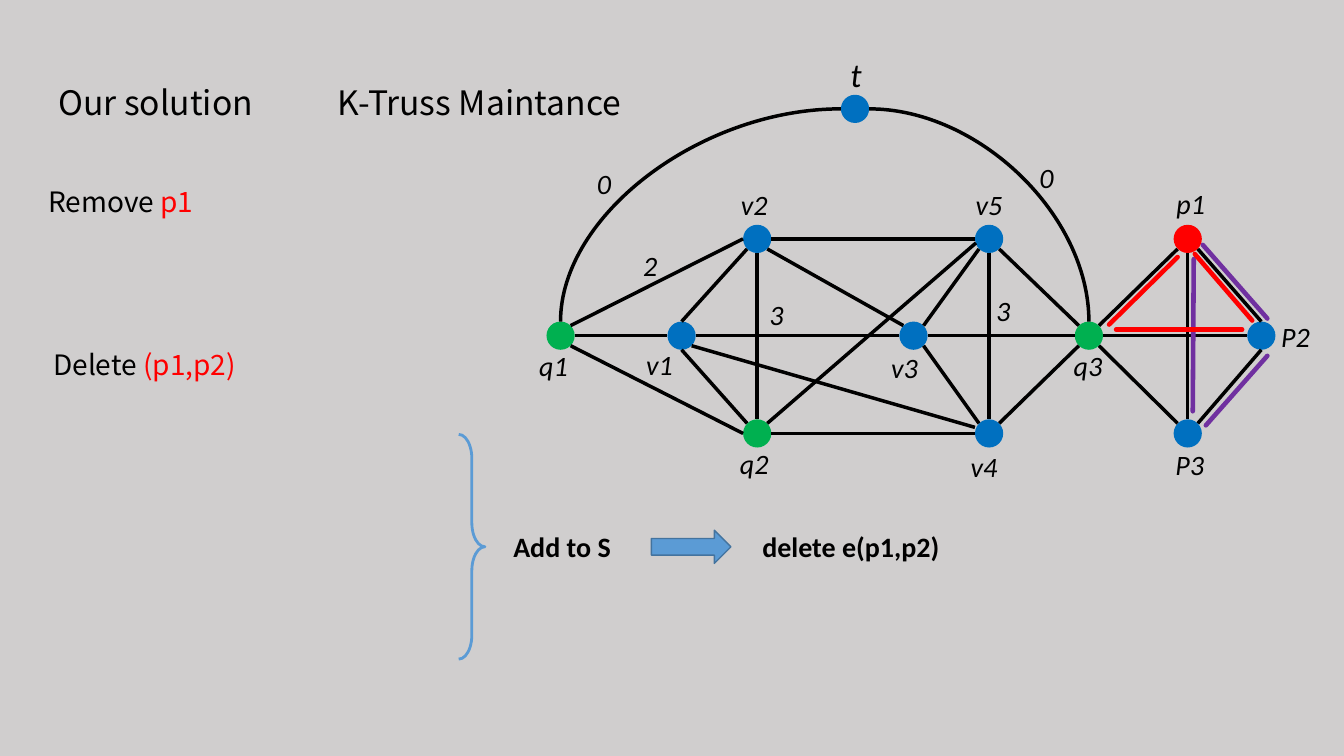
from pptx import Presentation
from pptx.dml.color import RGBColor
from pptx.enum import shapes, text
from pptx.oxml import ns
from pptx.util import Inches, Pt
from lxml import etree

SANS, ITALIC_FACE = "Noto Sans CJK SC", "Calibri"
BLACK, RED, GREEN, BLUE, PURPLE = "000000", "FF0000", "00B050", "0070C0", "7030A0"

# name: (centre x, centre y, colour, label left, label top)
NODES = {
    "q1": (5.56, 3.33, GREEN, 5.2, 3.41),
    "q2": (7.51, 4.3, GREEN, 7.19, 4.38),
    "q3": (10.8, 3.33, GREEN, 10.5, 3.41),
    "v1": (6.76, 3.33, BLUE, 6.25, 3.4),
    "v2": (7.51, 2.37, BLUE, 7.19, 1.81),
    "v3": (9.06, 3.33, BLUE, 8.68, 3.43),
    "v4": (9.81, 4.3, BLUE, 9.47, 4.41),
    "v5": (9.81, 2.37, BLUE, 9.52, 1.81),
    "t": (8.48, 1.08, BLUE, 8.2, 0.49),
    "p1": (11.78, 2.37, RED, 11.52, 1.8),
    "P2": (12.51, 3.33, BLUE, 12.56, 3.12),
    "P3": (11.78, 4.3, BLUE, 11.51, 4.39),
}
RADIUS = 0.14
# Points on a node's rim where edges attach, as offsets from its centre
RIM = {
    "N": (0, -0.14), "S": (0, 0.14), "W": (-0.14, 0), "E": (0.14, 0),
    "NW": (-0.1, -0.1), "NE": (0.1, -0.1), "SW": (-0.1, 0.1), "SE": (0.1, 0.1),
    "WNW": (-0.14, -0.06), "WSW": (-0.13, 0.04),
}
EDGES = [
    "q1 E v1 W", "v1 E v3 W", "v3 E q3 W", "q3 E P2 W",
    "p1 SE P2 N", "p1 SW q3 NE", "p1 S P3 N", "P2 S P3 NE", "q3 SE P3 NW",
    "q3 SW v4 NE", "v5 S v4 N", "v5 SE q3 NW", "v5 SW v3 NE", "v3 SE v4 NW",
    "v2 S q2 N", "v2 SW v1 N", "v1 S q2 NW", "q1 NE v2 W", "q1 SE q2 W",
    "q2 E v4 W", "v2 E v5 W", "v1 SE v4 WNW", "v5 WSW q2 NE", "v2 SE v3 NW",
]
CURVED_EDGES = ["t W q1 N", "t E q3 N"]
WEIGHTS = [("0", 5.7, 1.6), ("0", 10.09, 1.54), ("2", 6.16, 2.42),
           ("3", 7.41, 2.9), ("3", 9.66, 2.86)]
TRIANGLE_MARKS = [
    (PURPLE, (11.93, 2.43), (12.57, 3.16)),
    (PURPLE, (12.57, 3.53), (11.96, 4.22)),
    (PURPLE, (11.84, 2.57), (11.83, 4.08)),
    (RED, (11.68, 2.55), (11, 3.22)),
    (RED, (12.32, 3.27), (11.07, 3.27)),
    (RED, (12.42, 3.18), (11.85, 2.52)),
]
# (black part, red part), box, size
NOTES = [
    (("Our solution", ""), (0.48, 0.56, 2.21, 0.64), 24),
    (("K-Truss Maintance", ""), (3.25, 0.56, 3.16, 0.64), 24),
    (("Remove ", "p1"), (0.38, 1.61, 1.71, 0.61), 20),
    (("Delete", " (p1,p2)"), (0.43, 3.23, 2.1, 0.61), 20),
]
STEPS = [("Add to S", (4.86, 5.2, 1.43, 0.44)),
         ("delete e(p1,p2)", (7.41, 5.2, 2.06, 0.44))]

prs = Presentation()
prs.slide_width, prs.slide_height = Inches(13.33), Inches(7.5)
s = prs.slides.add_slide(prs.slide_layouts[6])


def rgb(value):
    return RGBColor.from_string(value)


def add_text(parts, box, size, face, centred=True, italic=False, bold=False):
    """Write one line; the first part is black and a second one red."""
    tf = s.shapes.add_textbox(*map(Inches, box)).text_frame
    tf.word_wrap = centred
    tf.auto_size = text.MSO_AUTO_SIZE.SHAPE_TO_FIT_TEXT
    p = tf.paragraphs[0]
    if centred:
        p.alignment = text.PP_ALIGN.CENTER
    else:
        p.line_spacing = 1.5
    p.font.name, p.font.size = face, Pt(size)
    p.font.italic, p.font.bold = italic, bold
    for part, colour in zip(parts, (BLACK, RED)):
        if part:
            r = p.add_run()
            r.text = part
            r.font.color.rgb = rgb(colour)


def add_label(label, left, top, size=20):
    add_text([label], (left, top, 0.58, 0.5 if size > 20 else 0.44), size,
             ITALIC_FACE, italic=True)


def add_shape(kind, box, fill=None, line=None, width=1):
    sp = s.shapes.add_shape(kind, *map(Inches, box))
    sp.shadow.inherit = False
    if fill:
        sp.fill.solid()
        sp.fill.fore_color.rgb = rgb(fill)
    else:
        sp.fill.background()
    if line:
        sp.line.color.rgb = rgb(line)
        sp.line.width = Pt(width)
    else:
        sp.line.fill.background()
    return sp


def add_line(start, end, colour=BLACK, width=2.5, curved=False):
    kind = shapes.MSO_CONNECTOR.CURVE if curved else shapes.MSO_CONNECTOR.STRAIGHT
    c = s.shapes.add_connector(kind, *map(Inches, (*start, *end)))
    c.line.color.rgb = rgb(colour)
    c.line.width = Pt(width)
    props = c._element.spPr
    etree.SubElement(props, ns.qn("a:effectLst"))
    if curved:  # a single quarter bend
        props.find(ns.qn("a:prstGeom")).set("prst", "curvedConnector2")
    return c


def rim_point(name, side):
    return [centre + offset for centre, offset in zip(NODES[name][:2], RIM[side])]


def add_edge(edge, curved=False):
    a, a_side, b, b_side = edge.split()
    add_line(rim_point(a, a_side), rim_point(b, b_side), curved=curved)


s.background.fill.solid()
s.background.fill.fore_color.rgb = rgb("D0CECE")

for parts, box, size in NOTES:
    add_text(parts, box, size, SANS, centred=False)

for name, (x, y, colour, left, top) in NODES.items():
    add_shape(shapes.MSO_SHAPE.OVAL,
              (x - RADIUS, y - RADIUS, 2 * RADIUS, 2 * RADIUS), colour)
    add_label(name, left, top, 24 if name == "t" else 20)
for edge in EDGES:
    add_edge(edge)
for edge in CURVED_EDGES:
    add_edge(edge, curved=True)
for weight in WEIGHTS:
    add_label(*weight)
for colour, start, end in TRIANGLE_MARKS:
    mark = add_line(start, end, colour, 3.25)
    mark.line._get_or_add_ln().set("cap", "rnd")

brace = add_shape(shapes.MSO_SHAPE.RIGHT_BRACE, (4.55, 4.31, 0.26, 2.23),
                  line="5B9BD5", width=2)
brace.adjustments[0] = 0.92
add_shape(shapes.MSO_SHAPE.RIGHT_ARROW, (6.46, 5.26, 0.79, 0.33), "5B9BD5", "43739E")
for step, box in STEPS:
    add_text([step], box, 20, ITALIC_FACE, bold=True)

prs.save("out.pptx")
